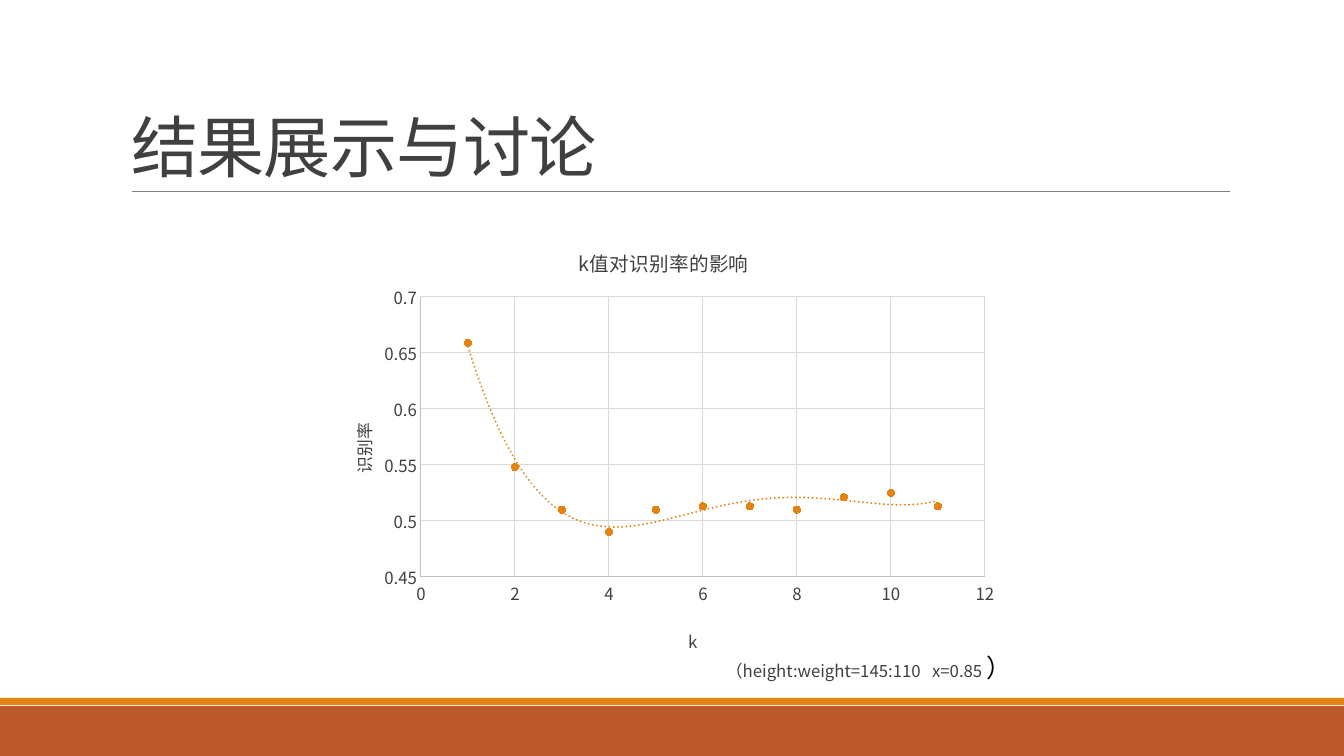
from lxml.etree import SubElement
from pptx import Presentation
from pptx.chart.data import XyChartData
from pptx.dml.color import RGBColor
from pptx.enum.chart import XL_CHART_TYPE as ChartType, XL_MARKER_STYLE as Marker, XL_TICK_MARK as Tick
from pptx.enum.shapes import MSO_CONNECTOR as Connector, MSO_SHAPE as Shape
from pptx.enum.text import MSO_ANCHOR as Anchor, MSO_AUTO_SIZE as AutoSize, PP_ALIGN as Align
from pptx.oxml import parse_xml
from pptx.oxml.ns import nsdecls, qn
from pptx.util import Emu, Pt

CJK, LATIN = "Noto Sans CJK SC", "Calibri"
ORANGE, RUST, TEXT, BLACK = "E48312", "BD582C", "404040", "000000"
RULE, AXIS, GRID = "808080", "BFBFBF", "D9D9D9"

TITLE = "结果展示与讨论"
CHART_TITLE = ("k值对识别率的影响", 14, (575, 243))
K_TITLE = ("k", 12, (685, 623))
RATE_TITLE = ("识别率", 12, (346, 420))
RATES = [0.659, 0.548, 0.51, 0.49, 0.51, 0.513, 0.513, 0.51, 0.521, 0.525, 0.513]
K_SCALE = (0, 12, 2)
RATE_SCALE = (0.45, 0.7, 0.05)
NOTE = [("（height:weight=145:110   x=0.85 ", 12, CJK, TEXT), ("）", 18, LATIN, BLACK)]

# Boxes are left, top, width, height in px
BARS = [((0, 706, 1344, 50), RUST), ((0, 698, 1344, 7), ORANGE)]
TITLE_BOX = (121, 31, 1109, 160)
RULE_ENDS = (132, 191, 1230, 191)
CHART_BOX = (319, 221, 690, 447)
PLOT_BOX = (421, 297, 564, 280)
NOTE_BOX = (716, 647, 605, 40)
PX_PER_INCH = 100.8


def px(*lengths):
    return [Emu(round(length * 914400 / PX_PER_INCH)) for length in lengths]


def color(hex_string):
    return RGBColor.from_string(hex_string)


def style_font(font, size, name, hex_string):
    """Set the font for Latin and East Asian letters alike."""
    font.size, font.name, font.bold = Pt(size), name, False
    font.color.rgb = color(hex_string)
    SubElement(font._element if hasattr(font, "_element") else font._rPr, qn("a:ea"), typeface=name)


def style_line(line, hex_string, width):
    line.color.rgb = color(hex_string)
    line.width = Pt(width)


def place(element, index, left, top, width=None, height=None):
    """Give a chart part a fixed place, from px on the slide to shares of the chart."""
    layout = element.find(qn("c:layout"))
    if layout is None:
        layout = parse_xml(f"<c:layout {nsdecls('c')}/>")
        element.insert(index, layout)
    chart_left, chart_top, chart_width, chart_height = CHART_BOX
    values = []
    if width:
        values.append(("layoutTarget", "inner"))
    values += [("xMode", "edge"), ("yMode", "edge"),
               ("x", (left - chart_left) / chart_width), ("y", (top - chart_top) / chart_height)]
    if width:
        values += [("w", width / chart_width), ("h", height / chart_height)]
    manual = SubElement(layout, qn("c:manualLayout"))
    for tag, value in values:
        SubElement(manual, qn(f"c:{tag}"), val=str(value))


def add_chart_title(owner, text, size, position):
    """Title a chart or an axis."""
    title = owner.chart_title if hasattr(owner, "chart_title") else owner.axis_title
    title.text_frame.text = text
    style_font(title.text_frame.paragraphs[0].runs[0].font, size, CJK, TEXT)
    place(title._element, 1, *position)


def style_axis(axis, scale, title):
    axis.minimum_scale, axis.maximum_scale, axis.major_unit = scale
    axis.major_tick_mark = axis.minor_tick_mark = Tick.NONE
    axis.has_major_gridlines = True
    style_line(axis.major_gridlines.format.line, GRID, 0.75)
    style_line(axis.format.line, AXIS, 0.75)
    style_font(axis.tick_labels.font, 12, CJK, TEXT)
    add_chart_title(axis, *title)


def add_trend_line(series):
    """Fit a dotted fourth-order polynomial to the points."""
    trend = parse_xml(
        f"<c:trendline {nsdecls('c', 'a')}><c:spPr><a:ln w='19050' cap='rnd'>"
        f"<a:solidFill><a:srgbClr val='{ORANGE}'/></a:solidFill><a:prstDash val='sysDot'/>"
        "</a:ln></c:spPr><c:trendlineType val='poly'/><c:order val='4'/>"
        "<c:dispRSqr val='0'/><c:dispEq val='0'/></c:trendline>")
    series._element.find(qn("c:xVal")).addprevious(trend)


def add_background(slide):
    for box, fill in BARS:
        bar = slide.shapes.add_shape(Shape.RECTANGLE, *px(*box))
        bar.shadow.inherit = False
        bar.fill.solid()
        bar.fill.fore_color.rgb = color(fill)
        bar.line.fill.background()
    rule = slide.shapes.add_connector(Connector.STRAIGHT, *px(*RULE_ENDS))
    style_line(rule.line, RULE, 0.5)
    SubElement(rule._element.spPr, qn("a:effectLst"))


def add_title(slide):
    title = slide.shapes.title
    title.left, title.top, title.width, title.height = px(*TITLE_BOX)
    frame = title.text_frame
    frame.text = TITLE
    frame.vertical_anchor, frame.auto_size = Anchor.BOTTOM, AutoSize.NONE
    paragraph = frame.paragraphs[0]
    paragraph.alignment, paragraph.line_spacing = Align.LEFT, 0.85
    run = paragraph.runs[0]
    style_font(run.font, 48, CJK, TEXT)
    run._r.get_or_add_rPr().set("spc", "-50")


def add_rate_chart(slide):
    data = XyChartData()
    points = data.add_series("Series 1")
    for k, rate in enumerate(RATES, 1):
        points.add_data_point(k, rate)
    chart = slide.shapes.add_chart(ChartType.XY_SCATTER, *px(*CHART_BOX), data).chart
    style_font(chart.font, 12, CJK, TEXT)
    chart.has_legend = False
    add_chart_title(chart, *CHART_TITLE)
    style_axis(chart.category_axis, K_SCALE, K_TITLE)
    style_axis(chart.value_axis, RATE_SCALE, RATE_TITLE)
    place(chart._chartSpace.chart.plotArea, 0, *PLOT_BOX)

    plot = chart.plots[0]
    plot.vary_by_categories = False
    series = plot.series[0]
    series.format.line.fill.background()
    series.marker.style, series.marker.size = Marker.CIRCLE, 5
    series.marker.format.fill.solid()
    series.marker.format.fill.fore_color.rgb = color(ORANGE)
    style_line(series.marker.format.line, ORANGE, 0.75)
    add_trend_line(series)


def add_note(slide):
    frame = slide.shapes.add_textbox(*px(*NOTE_BOX)).text_frame
    frame.word_wrap, frame.auto_size = True, AutoSize.SHAPE_TO_FIT_TEXT
    for text, size, name, hex_string in NOTE:
        run = frame.paragraphs[0].add_run()
        run.text = text
        style_font(run.font, size, name, hex_string)


def main():
    presentation = Presentation()
    presentation.slide_width, presentation.slide_height = px(1344, 756)
    slide = presentation.slides.add_slide(presentation.slide_layouts[5])
    add_background(slide)
    add_title(slide)
    add_rate_chart(slide)
    add_note(slide)
    presentation.save("out.pptx")


if __name__ == "__main__":
    main()
